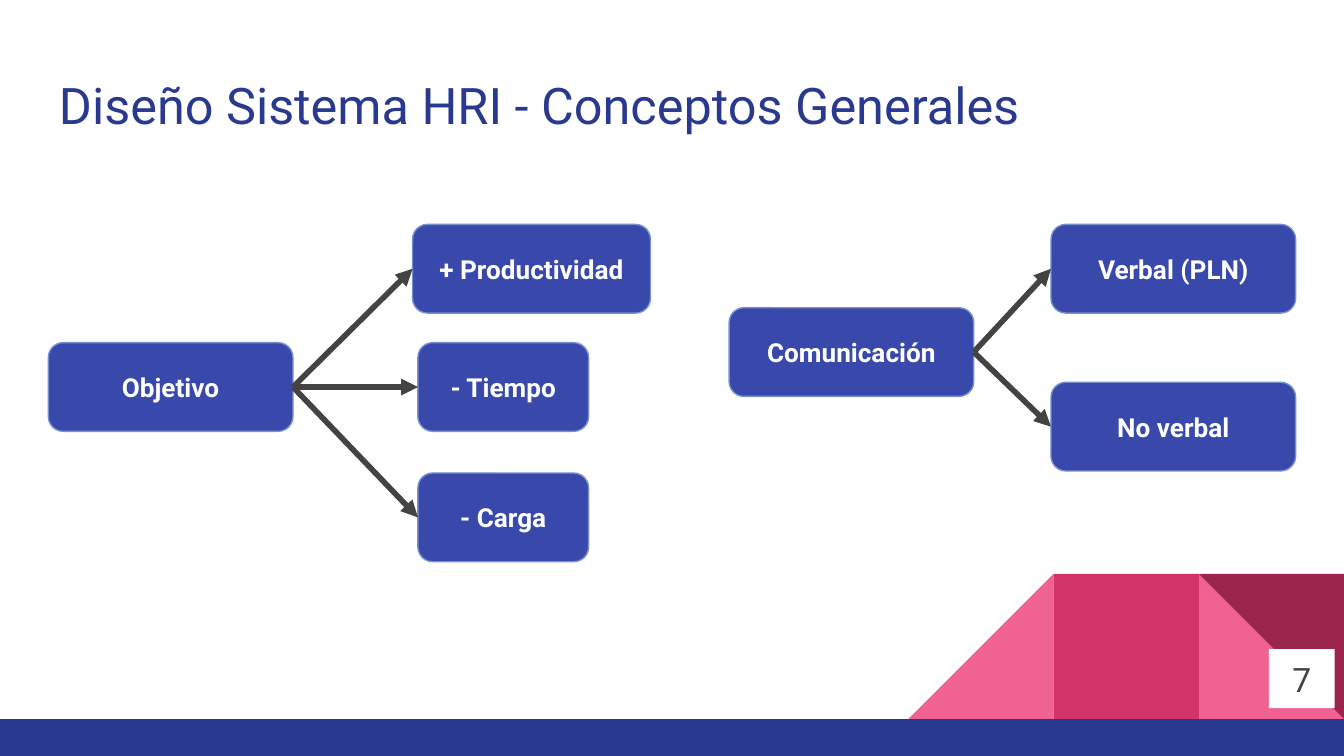
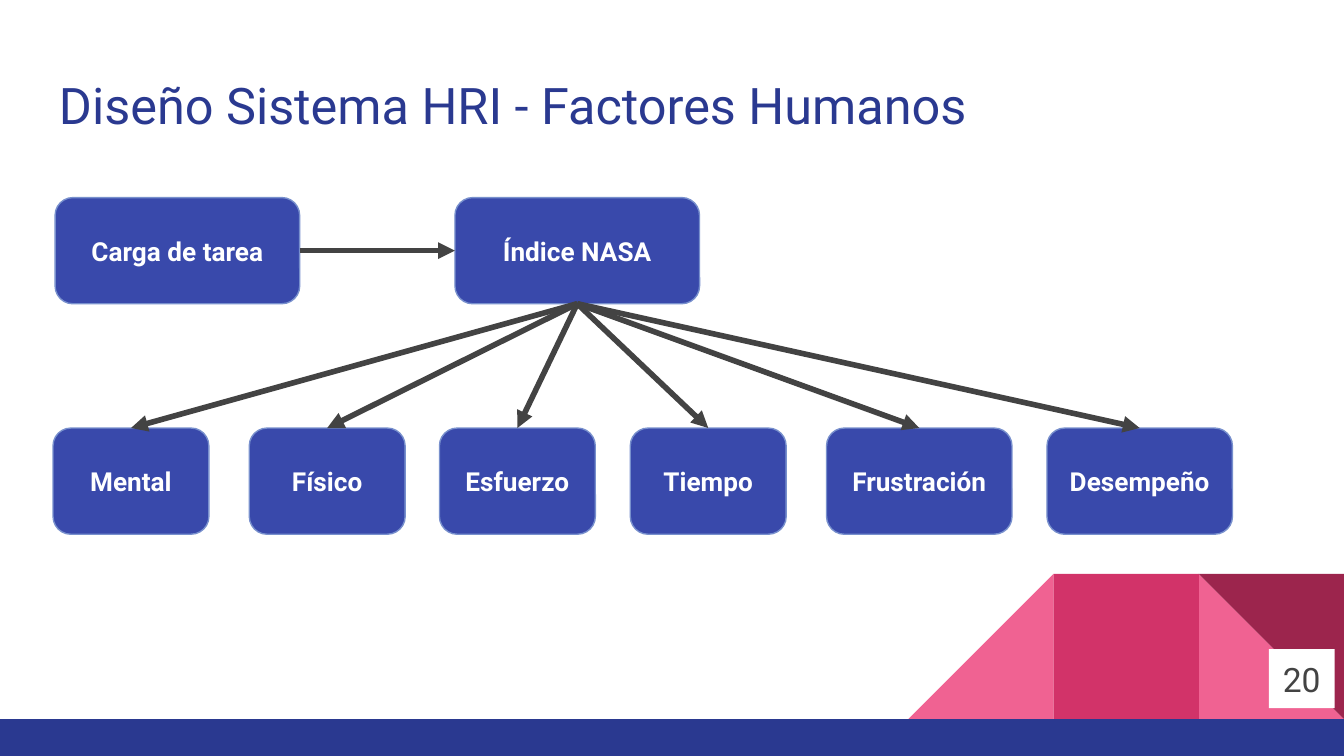
from lxml import etree
from pptx import Presentation
from pptx.dml.color import RGBColor
from pptx.enum.shapes import MSO_CONNECTOR, MSO_SHAPE
from pptx.enum.text import MSO_ANCHOR, PP_ALIGN
from pptx.oxml.ns import qn
from pptx.util import Inches, Pt

RECT = MSO_SHAPE.RECTANGLE
ROUND = MSO_SHAPE.ROUNDED_RECTANGLE
WEDGE = MSO_SHAPE.RIGHT_TRIANGLE
LINE = MSO_CONNECTOR.STRAIGHT
LEFT, CENTER = PP_ALIGN.LEFT, PP_ALIGN.CENTER
TOP, MIDDLE = MSO_ANCHOR.TOP, MSO_ANCHOR.MIDDLE

FONT = "Roboto"
COLORS = {
    "navy": "2A3990", "box": "3949AB", "edge": "7890CD", "white": "FFFFFF",
    "pink": "F06292", "rose": "D23369", "wine": "9C254D", "gray": "434343",
}
WIDTH, HEIGHT = Inches(10), Inches(5.625)
UNIT = WIDTH / 100  # grid of 100 columns by 56.25 square rows
ROWS = 56.25

# Connection sites of a box
ABOVE, BEFORE, BELOW, AFTER = range(4)


def color(name):
    return RGBColor.from_string(COLORS[name])


def grid(*cells):
    return [round(cell * UNIT) for cell in cells]


def write(shape, text, size=14, ink="white", bold=False, align=CENTER,
          anchor=MIDDLE, wrap=True):
    frame = shape.text_frame
    frame.word_wrap = wrap
    frame.vertical_anchor = anchor
    frame.margin_left = frame.margin_right = Inches(0.1)
    frame.margin_top = frame.margin_bottom = Inches(0.1)
    para = frame.paragraphs[0]
    para.alignment = align
    run = para.add_run()
    run.text = text
    run.font.name = FONT
    run.font.size = Pt(size)
    run.font.bold = bold
    run.font.color.rgb = color(ink)


class Deck:
    def __init__(self):
        self.file = Presentation()
        self.file.slide_width, self.file.slide_height = WIDTH, HEIGHT
        self.slide = None

    def start(self, title, number):
        """Add a slide with its corner art, band, title and page number."""
        self.slide = self.file.slides.add_slide(self.file.slide_layouts[6])
        self.corner()
        label = self.slide.shapes.add_textbox(*grid(3.4, 4.5, 93.2, 6.6))
        write(label, title, size=27, ink="navy", align=LEFT, anchor=TOP)
        page = self.shape(RECT, 94.4, 48.3, 4.9, 4.4, "white")
        write(page, str(number), size=18, ink="gray", wrap=False)

    def shape(self, kind, left, top, width, height, fill):
        shape = self.slide.shapes.add_shape(
            kind, *grid(left, top, width, height))
        shape.shadow.inherit = False
        shape.fill.solid()
        shape.fill.fore_color.rgb = color(fill)
        shape.line.fill.background()
        return shape

    def corner(self):
        side, band = 10.8, 2.75
        base = ROWS - band
        left, mid, right = (100 - side * n for n in (3, 2, 1))
        top = base - side
        self.shape(WEDGE, right, top, side, side, "pink")
        slope = self.shape(WEDGE, left, top, side, side, "pink")
        slope._element.spPr.find(qn("a:xfrm")).set("flipH", "1")
        self.shape(RECT, mid, top, side, side, "rose")
        self.shape(WEDGE, right, top, side, side, "wine").rotation = 180
        self.shape(RECT, 0, base, 100, band, "navy")

    def box(self, text, left, top, width=18.2, height=6.6):
        box = self.shape(ROUND, left, top, width, height, "box")
        box.adjustments[0] = 0.167
        box.line.color.rgb = color("edge")
        box.line.width = Pt(0.75)
        write(box, text, bold=True)
        return box

    def arrow(self, start, end, out=AFTER, into=BEFORE):
        """Join two boxes at the given connection sites."""
        arrow = self.slide.shapes.add_connector(LINE, 0, 0, 0, 0)
        arrow.begin_connect(start, out)
        arrow.end_connect(end, into)
        arrow.line.color.rgb = color("gray")
        arrow.line.width = Pt(3)
        props = arrow._element.spPr
        tip = etree.SubElement(props.find(qn("a:ln")), qn("a:tailEnd"))
        tip.set("type", "triangle")
        etree.SubElement(props, qn("a:effectLst"))


def concepts(deck):
    deck.start("Diseño Sistema HRI - Conceptos Generales", 7)
    goal = deck.box("Objetivo", 3.6, 25.5)
    for text, left, top, width in (
        ("+ Productividad", 30.7, 16.7, 17.7),
        ("- Tiempo", 31.1, 25.5, 12.7),
        ("- Carga", 31.1, 35.2, 12.7),
    ):
        deck.arrow(goal, deck.box(text, left, top, width))

    talk = deck.box("Comunicación", 54.25, 22.9)
    for text, top in (("Verbal (PLN)", 16.7), ("No verbal", 28.45)):
        deck.arrow(talk, deck.box(text, 78.2, top))


def factors(deck):
    deck.start("Diseño Sistema HRI - Factores Humanos", 20)
    tall = 7.9
    load = deck.box("Carga de tarea", 4.1, 14.7, height=tall)
    index = deck.box("Índice NASA", 33.85, 14.7, height=tall)
    deck.arrow(load, index)
    small, large = 11.6, 13.8
    for text, left, width in (
        ("Mental", 3.95, small),
        ("Físico", 18.55, small),
        ("Esfuerzo", 32.7, small),
        ("Tiempo", 46.9, small),
        ("Frustración", 61.5, large),
        ("Desempeño", 77.9, large),
    ):
        part = deck.box(text, left, 31.85, width, tall)
        deck.arrow(index, part, BELOW, ABOVE)


def main():
    deck = Deck()
    concepts(deck)
    factors(deck)
    deck.file.save("out.pptx")


if __name__ == "__main__":
    main()
